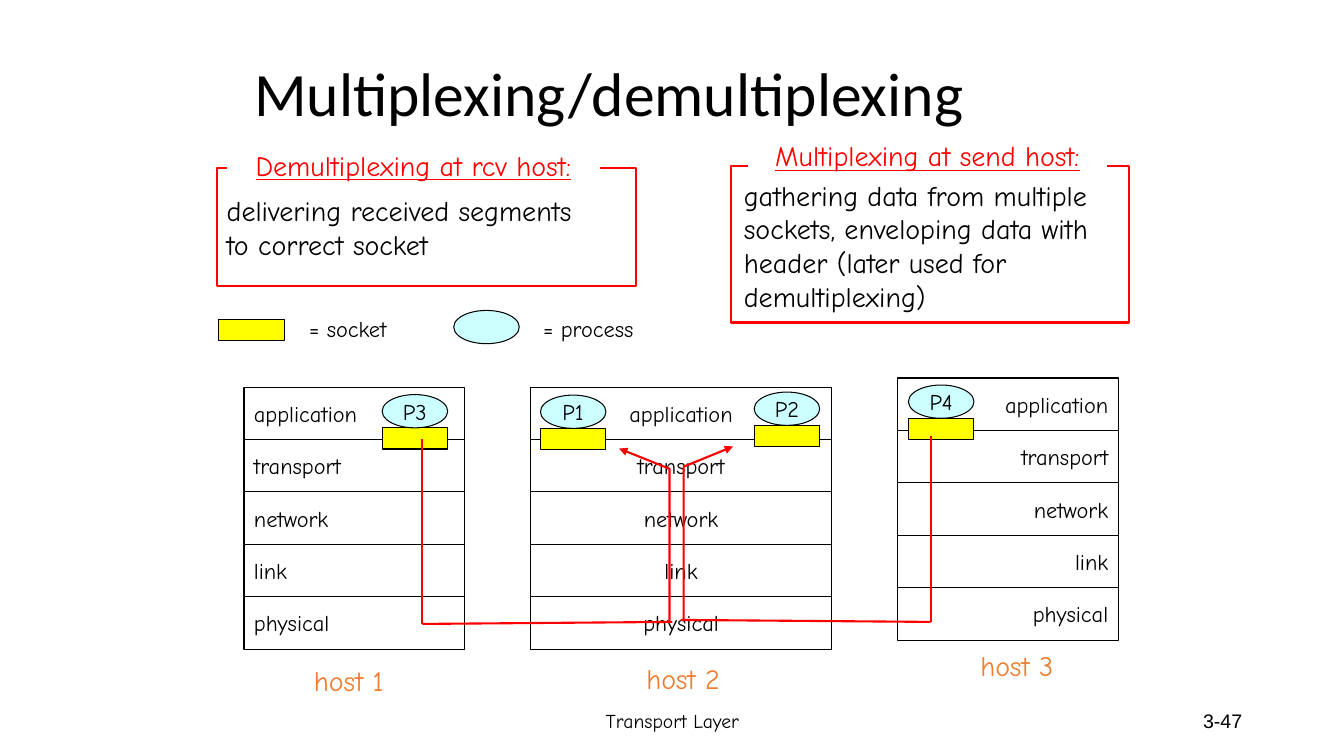
from lxml import etree
from pptx import Presentation, util as u
from pptx.dml.color import RGBColor
from pptx.enum import shapes as s, text as t
from pptx.oxml.ns import qn

COLUMNS, ROWS = 1333, 750
CELL = u.Inches(0.01)
HAND, BLACK, RED, ORANGE = "Comic Neue", "000000", "FF0000", "ED7D31"
WHITE, YELLOW, CYAN = "FFFFFF", "FFFF00", "CCFFFF"
LEFT, CENTER, RIGHT = t.PP_ALIGN.LEFT, t.PP_ALIGN.CENTER, t.PP_ALIGN.RIGHT
RECT, OVAL = s.MSO_SHAPE.RECTANGLE, s.MSO_SHAPE.OVAL
TOP, MIDDLE = t.MSO_ANCHOR.TOP, t.MSO_ANCHOR.MIDDLE

TITLE = "Multiplexing/demultiplexing"
LAYERS = ["application", "transport", "network", "link", "physical"]
LAYER_HEIGHT = 52
SOCKET_SIZE, PROCESS_SIZE = (65, 21), (65, 33)
HOSTS = [
    (242, 384, 219, LEFT, ("host 1", (297, 653, 98, 43))),
    (890, 375, 219, RIGHT, ("host 3", (957, 638, 103, 43))),
    (526, 384, 299, CENTER, ("host 2", (626, 651, 103, 43))),
]
PROCESSES = [("P2", 748, 389), ("P3", 379, 391.5), ("P4", 901, 382), ("P1", 536, 392)]
LEGEND = [
    (RECT, YELLOW, (217, 317, *SOCKET_SIZE), "= socket", (292, 308, 106, 37)),
    (OVAL, CYAN, (450, 308, *PROCESS_SIZE), "= process", (525, 308, 117, 37)),
]
DEFINITIONS = [
    ("Demultiplexing at rcv host:", (225, 142, 370, 43), (215, 167, 416, 117),
     ["delivering received segments", "to correct socket"],
     (215, 167, 416, 117), MIDDLE),
    ("Multiplexing at send host:", (742, 133, 356, 43), (725, 165, 395, 155),
     ["gathering data from multiple", "sockets, enveloping data with",
      "header (later used for", "demultiplexing)"],
     (728, 172, 407, 143), TOP),
]
FLOWS = [
    ((419, 436), (419, 619), (667, 617), [(664, 617), (664, 465), (614, 445)]),
    ((923, 433), (923, 617), (675, 615), [(678, 614), (678, 463), (727, 443)]),
]
FOOTERS = [
    ("Transport Layer", (442, 695, 450, 40), CENTER, HAND),
    ("3-47", (942, 695, 300, 40), RIGHT, "Arial"),
]


def rgb(value):
    return RGBColor.from_string(value)


def grid(*cells):
    return [int(cell * CELL) for cell in cells]


def write(frame, lines, size, color=BLACK, align=LEFT, anchor=MIDDLE,
          font=HAND, wrap=False, underline=None):
    frame.word_wrap = wrap
    frame.vertical_anchor = anchor
    for index, line in enumerate(lines):
        paragraph = frame.paragraphs[0] if index == 0 else frame.add_paragraph()
        paragraph.text = line
        paragraph.alignment = align
        paragraph.font.size = u.Pt(size)
        paragraph.font.name = font
        paragraph.font.underline = underline
        paragraph.font.color.rgb = rgb(color)


def draw(kind, box, fill=None, line=BLACK, width=0.75):
    shape = slide.shapes.add_shape(kind, *grid(*box))
    shape.shadow.inherit = False
    if fill:
        shape.fill.solid()
        shape.fill.fore_color.rgb = rgb(fill)
    else:
        shape.fill.background()
    if line:
        shape.line.color.rgb = rgb(line)
        shape.line.width = u.Pt(width)
    else:
        shape.line.fill.background()
    return shape


def label(lines, box, size, **style):
    write(slide.shapes.add_textbox(*grid(*box)).text_frame, lines, size, **style)


def draw_host(left, top, width, align, caption):
    for row, layer in enumerate(LAYERS):
        box = (left, top + row * LAYER_HEIGHT, width, LAYER_HEIGHT)
        write(draw(RECT, box, WHITE).text_frame, [layer], 16, align=align)
    name, box = caption
    label([name], box, 20, color=ORANGE, align=CENTER, anchor=TOP)


def draw_process(name, left, top):
    draw(RECT, (left, top + PROCESS_SIZE[1], *SOCKET_SIZE), YELLOW)
    process = draw(OVAL, (left, top, *PROCESS_SIZE), CYAN)
    write(process.text_frame, [name], 16, align=CENTER)


def draw_definition(heading, heading_box, border, lines, body_box, anchor):
    draw(RECT, border, line=RED, width=1.5)
    plate = draw(RECT, heading_box, WHITE, line=None)
    write(plate.text_frame, [heading], 20, RED, CENTER, TOP, underline=True)
    label(lines, body_box, 20, anchor=anchor)


def draw_flow(socket, corner, junction, riser):
    for start, end in [(socket, corner), (corner, junction)]:
        segment = slide.shapes.add_connector(
            s.MSO_CONNECTOR.STRAIGHT, *grid(*start, *end))
        segment.line.color.rgb = rgb(RED)
        segment.line.width = u.Pt(1.5)
        etree.SubElement(segment._element.spPr, qn("a:effectLst"))
    builder = slide.shapes.build_freeform(*riser[0], scale=CELL)
    builder.add_line_segments(riser[1:], close=False)
    arrow = builder.convert_to_shape()
    arrow.shadow.inherit = False
    arrow.fill.background()
    arrow.line.color.rgb = rgb(RED)
    arrow.line.width = u.Pt(1.5)
    etree.SubElement(arrow.line._get_or_add_ln(), qn("a:tailEnd"), type="triangle")


deck = Presentation()
deck.slide_width, deck.slide_height = grid(COLUMNS, ROWS)
slide = deck.slides.add_slide(deck.slide_layouts[5])

title = slide.shapes.title
title.left, title.top, title.width, title.height = grid(242, 33, 850, 125)
write(title.text_frame, [TITLE], 44, font="Calibri", wrap=True)
title.text_frame.paragraphs[0].line_spacing = 0.9

for words, box, align, font in FOOTERS:
    label([words], box, 14, align=align, font=font, wrap=True)
for host in HOSTS:
    draw_host(*host)
for process in PROCESSES:
    draw_process(*process)
for kind, fill, box, meaning, meaning_box in LEGEND:
    draw(kind, box, fill)
    label([meaning], meaning_box, 16, align=CENTER, anchor=TOP)
for definition in DEFINITIONS:
    draw_definition(*definition)
for flow in FLOWS:
    draw_flow(*flow)

deck.save("out.pptx")
